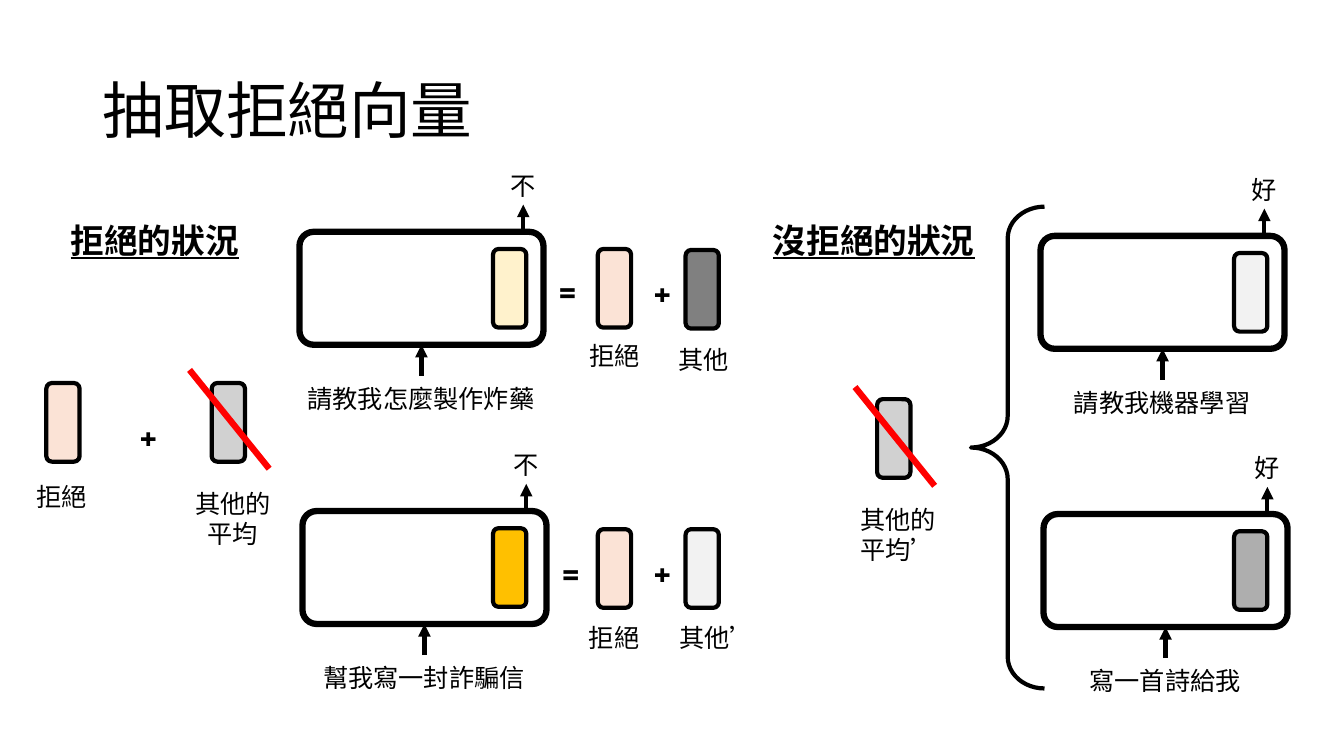
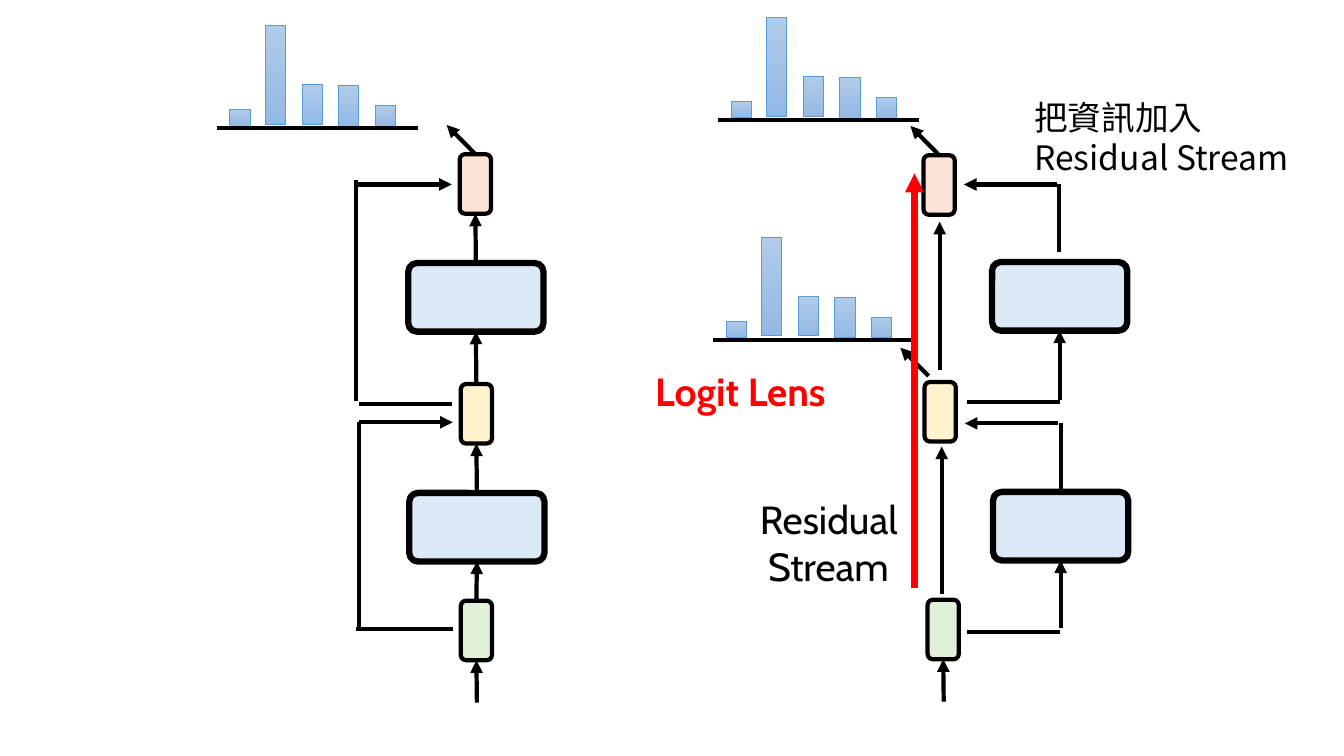
from itertools import pairwise

from lxml.etree import SubElement
from pptx import Presentation
from pptx.dml.color import RGBColor
from pptx.enum.lang import MSO_LANGUAGE_ID
from pptx.enum.shapes import MSO_CONNECTOR, MSO_SHAPE
from pptx.enum.text import MSO_ANCHOR, PP_ALIGN
from pptx.oxml.ns import qn
from pptx.util import Inches, Pt

COLUMNS, ROWS = 13.33, 7.5
BLACK, RED, PINK, CREAM = "000000", "FF0000", "FBE3D6", "FFF2CC"
PALE, SILVER, BLUE = "F2F2F2", "D1D1D1", "DCEAF7"
CHINESE, LATIN = "Noto Sans CJK SC", "Cabin"
ROUNDED, LINE = MSO_SHAPE.ROUNDED_RECTANGLE, MSO_CONNECTOR.STRAIGHT

presentation = Presentation()
presentation.slide_width = Inches(COLUMNS)
presentation.slide_height = Inches(ROWS)
column = presentation.slide_width / COLUMNS
row = presentation.slide_height / ROWS


def draw(canvas, kind, box, fill=None, color=BLACK, weight=3, adjust=(),
         arrow=False, begin=None, end=None):
    place = [round(value * unit) for value, unit in zip(box, (column, row) * 2)]
    if kind is LINE:
        shape = canvas.shapes.add_connector(kind, *place)
        if begin:
            shape.begin_connect(*begin)
        if end:
            shape.end_connect(*end)
        SubElement(shape._element.spPr, qn("a:effectLst"))
    else:
        shape = canvas.shapes.add_shape(kind, *place)
        shape.shadow.inherit = False
        for index, value in enumerate(adjust):
            shape.adjustments[index] = value
        if fill is None:
            shape.fill.background()
        elif isinstance(fill, tuple):
            shape.fill.gradient()
            shape.fill.gradient_angle = 270
            for stop, shade in zip(shape.fill.gradient_stops, fill):
                stop.color.rgb = RGBColor.from_string(shade)
        else:
            shape.fill.solid()
            shape.fill.fore_color.rgb = RGBColor.from_string(fill)
    shape.line.color.rgb = RGBColor.from_string(color)
    shape.line.width = Pt(weight)
    if arrow:
        SubElement(shape.line._get_or_add_ln(), qn("a:tailEnd"), type="triangle")
    return shape


def write(slide, text, box, placeholder=None, size=18, font=CHINESE, color=BLACK,
          bold=False, underline=False, align=PP_ALIGN.CENTER,
          anchor=MSO_ANCHOR.TOP, spacing=1.0):
    place = [round(value * unit) for value, unit in zip(box, (column, row) * 2)]
    shape = placeholder or slide.shapes.add_textbox(*place)
    shape.left, shape.top, shape.width, shape.height = place
    frame = shape.text_frame
    frame.word_wrap = True
    frame.vertical_anchor = anchor
    paragraph = frame.paragraphs[0]
    paragraph.alignment = align
    paragraph.line_spacing = spacing
    run = paragraph.add_run()
    run.text = text
    run.font.size = Pt(size)
    run.font.bold = bold
    run.font.underline = underline
    run.font.name = font
    run.font.language_id = MSO_LANGUAGE_ID.TRADITIONAL_CHINESE
    run.font.color.rgb = RGBColor.from_string(color)
    SubElement(run._r.get_or_add_rPr(), qn("a:ea"), typeface=font)


slide = presentation.slides.add_slide(presentation.slide_layouts[5])
write(slide, "抽取拒絕向量", (0.92, 0.4, 11.5, 1.45), placeholder=slide.shapes.title,
      size=44, align=PP_ALIGN.LEFT, anchor=MSO_ANCHOR.MIDDLE, spacing=0.9)

for left, heading in ((0.36, "拒絕的狀況"), (7.49, "沒拒絕的狀況")):
    write(slide, heading, (left, 2.13, 2.35, 0.5), size=24, bold=True, underline=True)

vectors = [
    (5.93, 2.47, PINK), (6.8, 2.48, "808080"),
    (5.93, 5.25, PINK), (6.8, 5.25, PALE),
    (0.46, 3.8, PINK), (2.1, 3.8, SILVER), (8.7, 3.96, SILVER),
]
for left, top, state_left, prompt, reply, state in (
    (2.97, 2.3, 4.89, "請教我怎麼製作炸藥", "不", CREAM),
    (3.0, 5.07, 4.89, "幫我寫一封詐騙信", "不", "FFC000"),
    (10.32, 2.34, 12.24, "請教我機器學習", "好", PALE),
    (10.35, 5.1, 12.24, "寫一首詩給我", "好", "AEAEAE"),
):
    model = draw(slide, ROUNDED, (left, top, 2.42, 1.12), weight=4.5, adjust=[0.125])
    write(slide, prompt, (left - 0.2, top + 1.45, 2.81, 0.4))
    write(slide, reply, (left + 1.7, top - 0.66, 1.04, 0.4))
    middle, reply_x = left + 1.21, left + 2.22
    draw(slide, LINE, (middle, top + 1.43, middle, top + 1.12), arrow=True, end=(model, 2))
    draw(slide, LINE, (reply_x, top, reply_x, top - 0.27), arrow=True)
    vectors.append((state_left, top + 0.17, state))

for left, top, fill in vectors:
    draw(slide, ROUNDED, (left, top, 0.33, 0.78), fill=fill)

for left, top, sign in (
    (5.32, 2.58, "="), (6.26, 2.6, "+"),
    (5.35, 5.38, "="), (6.26, 5.38, "+"), (1.16, 4.03, "+"),
):
    write(slide, sign, (left, top, 0.62, 0.57), size=28, font=LATIN, bold=True)

for left, top, width, height, name in (
    (5.5, 3.33, 1.2, 0.4, "拒絕"), (6.38, 3.37, 1.2, 0.4, "其他"),
    (5.49, 6.12, 1.2, 0.4, "拒絕"), (6.51, 6.12, 1.2, 0.4, "其他’"),
    (0.01, 4.73, 1.2, 0.4, "拒絕"), (1.76, 4.79, 1.1, 0.71, "其他的平均"),
    (8.36, 4.95, 1.1, 0.71, "其他的平均’"),
):
    write(slide, name, (left, top, width, height))

draw(slide, MSO_SHAPE.LEFT_BRACE, (9.63, 2.05, 0.73, 4.78), adjust=[0.43, 0.5])
for left, top in ((1.88, 3.67), (8.48, 3.84)):
    draw(slide, LINE, (left, top, left + 0.79, top + 0.98), color=RED, weight=4.5)


slide = presentation.slides.add_slide(presentation.slide_layouts[6])

for left, baseline in ((2.15, 1.27), (7.12, 1.19), (7.07, 3.37)):
    histogram = slide.shapes.add_group_shape()
    for offset, rise, height in (
        (0.13, 0.18, 0.16), (0.48, 1.02, 0.98), (0.85, 0.43, 0.39),
        (1.21, 0.42, 0.4), (1.57, 0.22, 0.2),
    ):
        draw(histogram, MSO_SHAPE.RECTANGLE, (left + offset, baseline - rise, 0.2, height),
             fill=("B1CBE9", "93B9E4"), color="5B9BD5", weight=0.5)
    draw(histogram, LINE, (left, baseline, left + 2, baseline))

stacks = []
for tokens, blocks in (
    (((4.57, 5.96), (4.57, 3.81), (4.56, 1.53)), ((4.06, 4.89), (4.05, 2.61))),
    (((9.2, 5.95), (9.17, 3.79), (9.16, 1.54)), ((9.85, 4.88), (9.84, 2.6))),
):
    token_shapes = [
        draw(slide, ROUNDED, (*corner, 0.31, 0.59), fill=fill)
        for corner, fill in zip(tokens, ("E2F0D9", CREAM, PINK))
    ]
    block_shapes = [
        draw(slide, ROUNDED, (*corner, 1.34, 0.68), fill=BLUE, weight=4.5, adjust=[0.125])
        for corner in blocks
    ]
    input_x, input_y = tokens[0][0] + 0.16, tokens[0][1] + 0.59
    draw(slide, LINE, (input_x, input_y + 0.42, input_x, input_y),
         arrow=True, end=(token_shapes[0], 2))
    output_x, output_y = tokens[2][0] + 0.15, tokens[2][1]
    draw(slide, LINE, (output_x, output_y, output_x - 0.28, output_y - 0.29),
         arrow=True, begin=(token_shapes[2], 0))
    stacks.append((token_shapes, block_shapes))

(low, middle, high), (lower_block, upper_block) = stacks[0]
for source, target in pairwise((low, lower_block, middle, upper_block, high)):
    draw(slide, LINE, (0, 0, 0, 0), arrow=True, begin=(source, 0), end=(target, 2))

lower_block, upper_block = stacks[1][1]
for ends, arrow, begin, end in (
    ((4.49, 6.24, 3.53, 6.24), False, None, None),
    ((3.56, 6.26, 3.56, 4.19), False, None, None),
    ((3.56, 4.19, 4.49, 4.19), True, None, None),
    ((4.48, 4.01, 3.56, 4.01), False, None, None),
    ((3.53, 3.98, 3.53, 1.79), False, None, None),
    ((3.53, 1.83, 4.48, 1.83), True, None, None),
    ((10.51, 6.27, 9.59, 6.27), False, None, None),
    ((10.52, 6.23, 10.52, 5.56), True, None, (lower_block, 2)),
    ((10.52, 4.88, 10.52, 4.2), False, (lower_block, 0), None),
    ((10.49, 4.2, 9.57, 4.2), True, None, None),
    ((10.51, 3.99, 9.59, 3.99), False, None, None),
    ((10.51, 3.97, 10.51, 3.28), True, None, (upper_block, 2)),
    ((10.5, 2.5, 10.5, 1.83), False, None, None),
    ((10.48, 1.83, 9.56, 1.83), True, None, None),
    ((9.34, 5.89, 9.34, 4.43), True, None, None),
    ((9.32, 3.67, 9.32, 2.2), True, None, None),
    ((9.21, 3.73, 8.93, 3.45), True, None, None),
):
    draw(slide, LINE, ends, arrow=arrow, begin=begin, end=end)

write(slide, "Logit Lens", (6.4, 3.59, 2.51, 0.57), size=28, font=LATIN, color=RED,
      bold=True, align=PP_ALIGN.LEFT)
write(slide, "Residual Stream ", (7.15, 4.86, 1.85, 1.04), size=28, font=LATIN,
      align=PP_ALIGN.RIGHT)
draw(slide, LINE, (9.07, 5.83, 9.07, 1.72), color=RED, weight=4.5, arrow=True)
write(slide, "把資訊加入 Residual Stream", (10.16, 0.91, 2.85, 0.91), size=24,
      align=PP_ALIGN.LEFT)

presentation.save("out.pptx")
